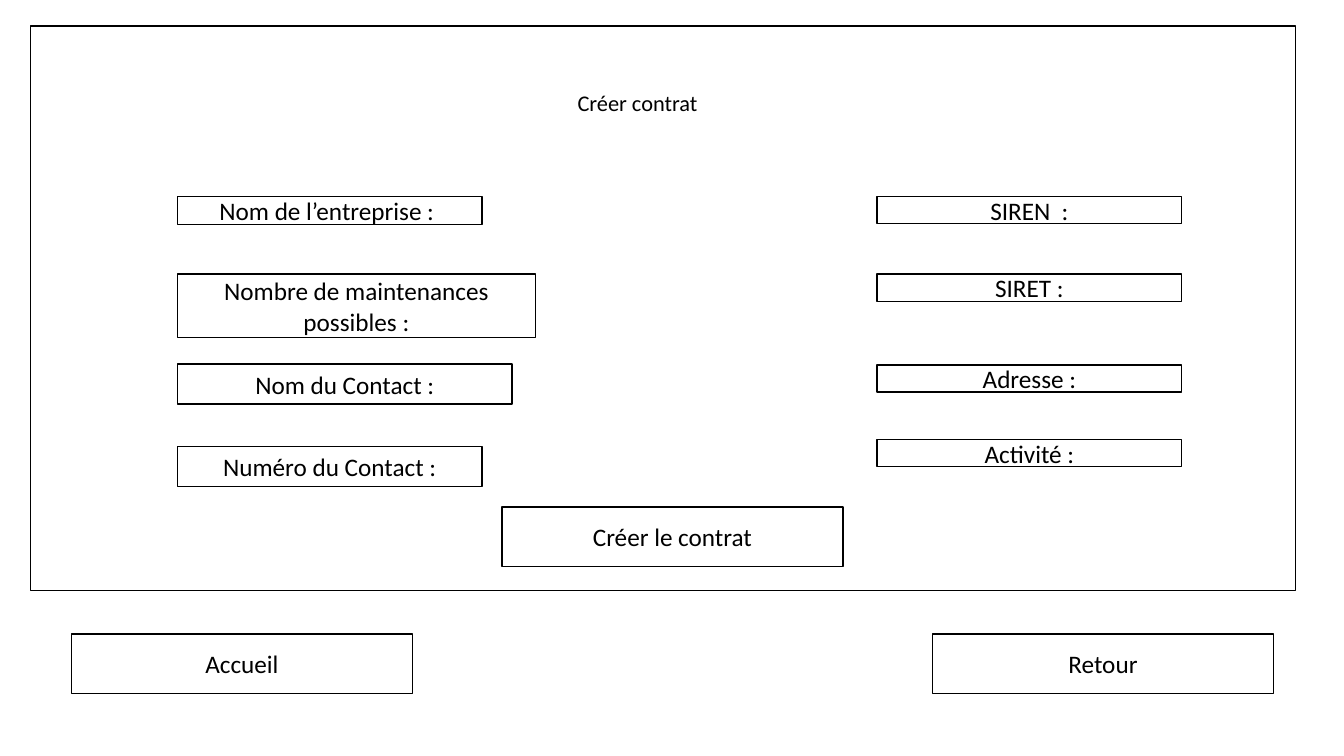
import dataclasses

import pptx
import pptx.dml.color
import pptx.enum.shapes
import pptx.enum.text
import pptx.util
from pptx.util import Inches


@dataclasses.dataclass(frozen=True)
class Theme:
    font: str = "Calibri"
    ink: pptx.dml.color.RGBColor = pptx.dml.color.RGBColor(0, 0, 0)
    paper: pptx.dml.color.RGBColor = pptx.dml.color.RGBColor(255, 255, 255)
    title_size: int = 16
    label_size: int = 18
    line_width: int = 1


class Wireframe:
    def __init__(self, page, theme):
        self.page = page
        self.theme = theme

    def add_span(self, para, text, size):
        span = para.add_run()
        span.text = text
        span.font.name = self.theme.font
        span.font.size = pptx.util.Pt(size)
        span.font.color.rgb = self.theme.ink

    def title(self, text, left, top, width, height):
        box = self.page.shapes.add_textbox(
            Inches(left), Inches(top), Inches(width), Inches(height))
        box.text_frame.word_wrap = True
        self.add_span(box.text_frame.paragraphs[0], text, self.theme.title_size)

    def frame(self, left, top, width, height):
        box = self.page.shapes.add_shape(
            pptx.enum.shapes.MSO_SHAPE.RECTANGLE,
            Inches(left), Inches(top), Inches(width), Inches(height))
        box.shadow.inherit = False
        box.fill.solid()
        box.fill.fore_color.rgb = self.theme.paper
        box.line.color.rgb = self.theme.ink
        box.line.width = pptx.util.Pt(self.theme.line_width)
        return box

    def label(self, text, left, top, width, height):
        text_frame = self.frame(left, top, width, height).text_frame
        text_frame.word_wrap = True
        text_frame.vertical_anchor = pptx.enum.text.MSO_ANCHOR.MIDDLE
        para = text_frame.paragraphs[0]
        para.alignment = pptx.enum.text.PP_ALIGN.CENTER
        self.add_span(para, text, self.theme.label_size)


COMPANY_LEFT, DETAIL_LEFT = 1.76, 8.7
FIELD_WIDTH, DETAIL_HEIGHT = 3.02, 0.27
BUTTON_WIDTH, BUTTON_HEIGHT = 3.38, 0.59

COMPANY_FIELDS = [
    ("Nom de l’entreprise : ", 1.95, FIELD_WIDTH, 0.28),
    ("Nombre de maintenances possibles :", 2.72, 3.55, 0.63),
    ("Nom du Contact :", 3.61, 3.32, 0.4),
    ("Numéro du Contact :", 4.43, FIELD_WIDTH, 0.4),
]
DETAIL_FIELDS = [
    ("SIREN  :", 1.95),
    ("SIRET :", 2.72),
    ("Adresse :", 3.62),
    ("Activité :", 4.36),
]
BUTTONS = [
    ("Créer le contrat", 4.98, 5.03),
    ("Accueil", 0.71, 6.29),
    ("Retour", 9.25, 6.29),
]


def main():
    deck = pptx.Presentation()
    deck.slide_width = Inches(13.33)
    deck.slide_height = Inches(7.5)
    page = deck.slides.add_slide(deck.slide_layouts[6])
    form = Wireframe(page, Theme())

    form.frame(0.3, 0.26, 12.55, 5.6)
    form.title("Créer contrat", 5.63, 0.84, 2.08, 0.37)
    for text, top, width, height in COMPANY_FIELDS:
        form.label(text, COMPANY_LEFT, top, width, height)
    for text, top in DETAIL_FIELDS:
        form.label(text, DETAIL_LEFT, top, FIELD_WIDTH, DETAIL_HEIGHT)
    for text, left, top in BUTTONS:
        form.label(text, left, top, BUTTON_WIDTH, BUTTON_HEIGHT)

    deck.save("out.pptx")


if __name__ == "__main__":
    main()
